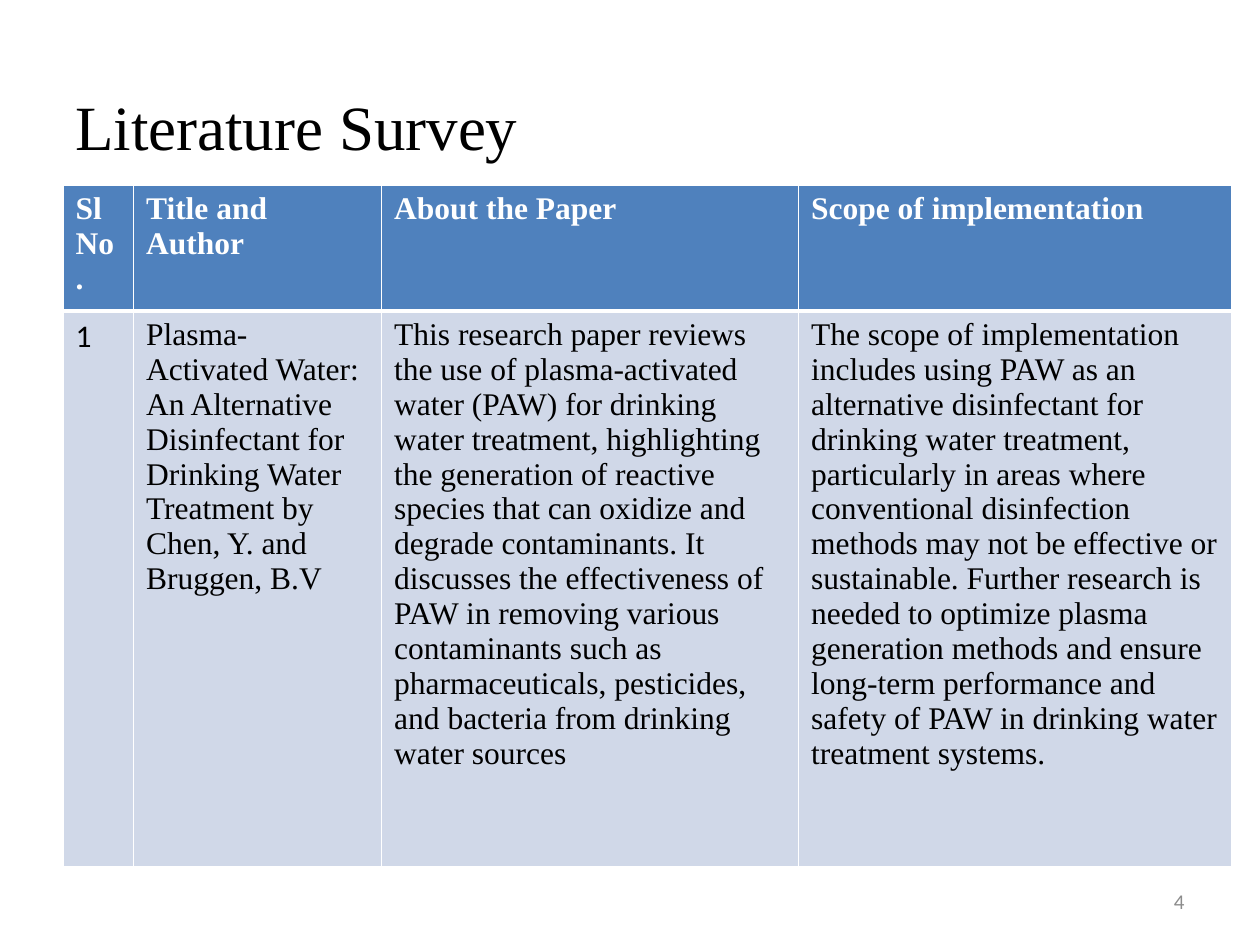
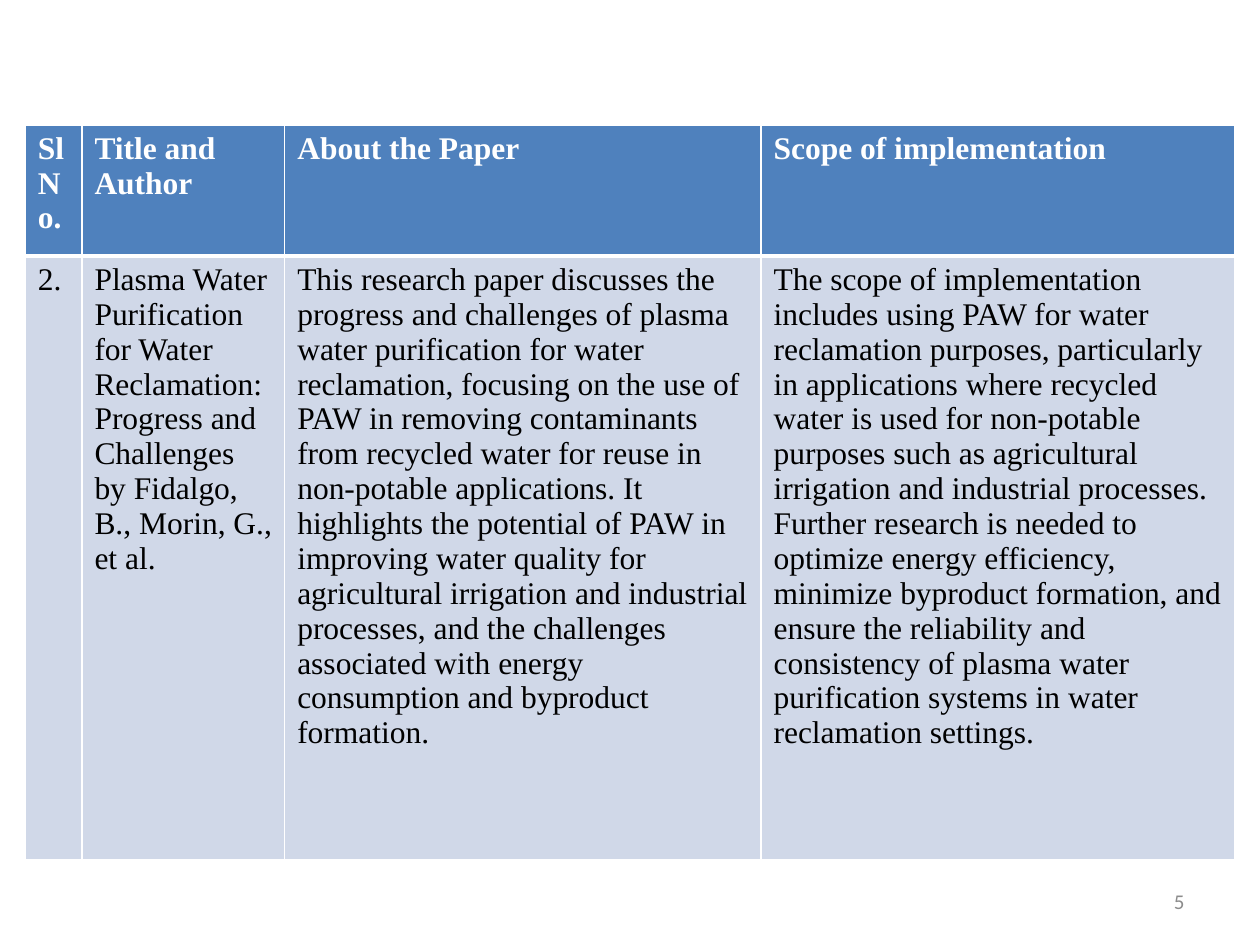
from dataclasses import dataclass

from lxml.etree import SubElement
from pptx import Presentation
from pptx.dml.color import RGBColor
from pptx.enum.text import MSO_ANCHOR, PP_ALIGN
from pptx.oxml.ns import qn
from pptx.slide import Slide
from pptx.table import _Cell
from pptx.util import Pt

SERIF, SANS = "Times New Roman", "Calibri"
WHITE, BLACK, BLUE, PALE, GRAY = "FFFFFF", "000000", "4F81BD", "D0D8E8", "8C8C8C"
HEADS = ("Sl No.", "Title and Author", "About the Paper", "Scope of implementation")
THIN, THICK = 1, 3


@dataclass
class Style:
    size: float
    color: str = BLACK
    font: str = SERIF
    bold: bool = False
    align: PP_ALIGN = PP_ALIGN.LEFT


@dataclass
class Survey:
    page: int
    left: float
    top: float
    cols: tuple[float, ...]
    rows: tuple[float, float]
    cells: tuple[str, ...]
    title: str = ""
    face: str = SERIF


SURVEYS = (
    Survey(
        4, 36, 105.8, (40.3, 141.8, 238.3, 247.7), (67, 317.5),
        (
            "1",
            "Plasma-Activated Water: An Alternative Disinfectant for Drinking Water "
            "Treatment by Chen, Y. and Bruggen, B.V",
            "This research paper reviews the use of plasma-activated water (PAW) for "
            "drinking water treatment, highlighting the generation of reactive species "
            "that can oxidize and degrade contaminants. It discusses the effectiveness "
            "of PAW in removing various contaminants such as pharmaceuticals, "
            "pesticides, and bacteria from drinking water sources",
            "The scope of implementation includes using PAW as an alternative "
            "disinfectant for drinking water treatment, particularly in areas where "
            "conventional disinfection methods may not be effective or sustainable. "
            "Further research is needed to optimize plasma generation methods and "
            "ensure long-term performance and safety of PAW in drinking water "
            "treatment systems.",
        ),
        "Literature Survey", SANS,
    ),
    Survey(
        5, 14.4, 71.3, (32.4, 115.9, 272.2, 270.7), (75, 345),
        (
            "2.",
            "Plasma Water Purification for Water Reclamation: Progress and Challenges "
            "by Fidalgo, B., Morin, G., et al.",
            "This research paper discusses the progress and challenges of plasma water "
            "purification for water reclamation, focusing on the use of PAW in removing "
            "contaminants from recycled water for reuse in non-potable applications. It "
            "highlights the potential of PAW in improving water quality for agricultural "
            "irrigation and industrial processes, and the challenges associated with "
            "energy consumption and byproduct formation.",
            "The scope of implementation includes using PAW for water reclamation "
            "purposes, particularly in applications where recycled water is used for "
            "non-potable purposes such as agricultural irrigation and industrial "
            "processes. Further research is needed to optimize energy efficiency, "
            "minimize byproduct formation, and ensure the reliability and consistency "
            "of plasma water purification systems in water reclamation settings.",
        ),
    ),
)


def tint(code: str) -> RGBColor:
    return RGBColor.from_string(code)


def write(frame, text: str, style: Style) -> None:
    frame.text = text
    para = frame.paragraphs[0]
    para.alignment = style.align
    font = para.font
    font.name, font.size, font.bold = style.font, Pt(style.size), style.bold
    font.color.rgb = tint(style.color)


def label(slide: Slide, box: tuple[float, ...], text: str, style: Style) -> None:
    frame = slide.shapes.add_textbox(*map(Pt, box)).text_frame
    frame.word_wrap = True
    frame.vertical_anchor = MSO_ANCHOR.MIDDLE
    write(frame, text, style)


def edge(cell: _Cell, head: bool) -> None:
    props = cell._tc.get_or_add_tcPr()
    sides = {"L": THIN, "R": THIN, "T": THIN if head else THICK,
             "B": THICK if head else THIN}
    for spot, (side, width) in enumerate(sides.items()):
        line = SubElement(props, qn(f"a:ln{side}"), w=str(Pt(width)))
        fill = SubElement(line, qn("a:solidFill"))
        SubElement(fill, qn("a:srgbClr"), val=WHITE)
        props.insert(spot, line)


def grid(slide: Slide, survey: Survey) -> None:
    box = (survey.left, survey.top, sum(survey.cols), sum(survey.rows))
    table = slide.shapes.add_table(2, len(HEADS), *map(Pt, box)).table
    for col, width in zip(table.columns, survey.cols):
        col.width = Pt(width)
    for row, high in zip(table.rows, survey.rows):
        row.height = Pt(high)
    for r, texts in enumerate((HEADS, survey.cells)):
        head = r == 0
        for c, text in enumerate(texts):
            cell = table.cell(r, c)
            cell.fill.solid()
            cell.fill.fore_color.rgb = tint(BLUE if head else PALE)
            edge(cell, head)
            face = SERIF if head or c else survey.face
            write(cell.text_frame, text,
                  Style(18, WHITE if head else BLACK, face, head))


def main() -> None:
    deck = Presentation()
    deck.slide_width, deck.slide_height = Pt(720), Pt(540)
    for survey in SURVEYS:
        slide = deck.slides.add_slide(deck.slide_layouts[6])
        if survey.title:
            label(slide, (36, 43.2, 648, 57), survey.title, Style(36))
        grid(slide, survey)
        label(slide, (516, 500.5, 168, 28.8), str(survey.page),
              Style(12, GRAY, SANS, align=PP_ALIGN.RIGHT))
    deck.save("out.pptx")


if __name__ == "__main__":
    main()
